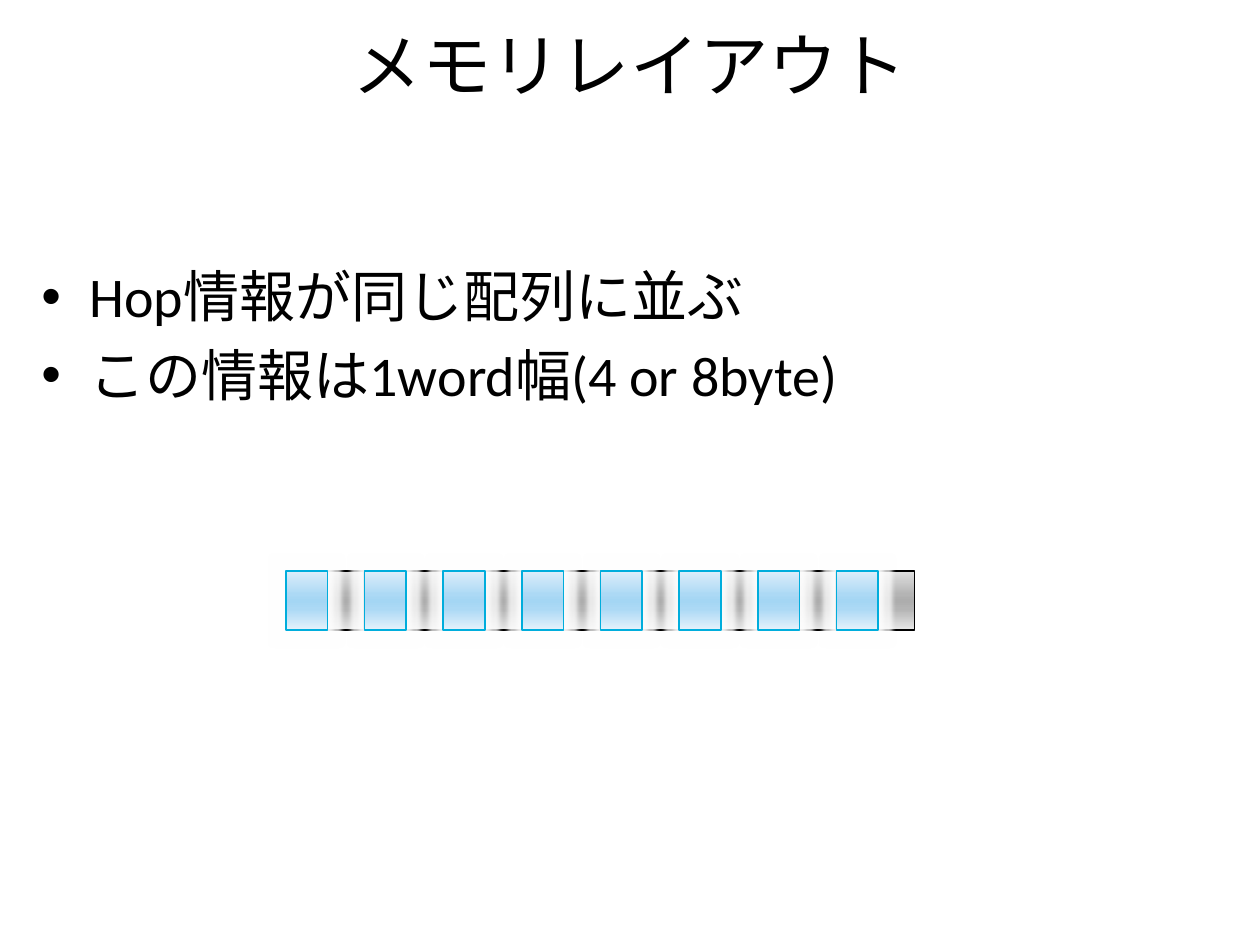
from dataclasses import dataclass

from lxml import etree
from pptx import Presentation
from pptx import util as u
from pptx.dml.color import RGBColor
from pptx.enum import shapes, text
from pptx.oxml import parse_xml
from pptx.oxml.ns import nsdecls, qn


@dataclass(frozen=True)
class Theme:
    font: str = "Calibri"
    ink: str = "000000"
    glow: str = "FFFFFF"
    glow_opacity: int = 75
    title_size: float = 39.6
    body_size: float = 32
    line_width: float = 0.94
    # Cell styles: outline, then gradient colours from top to bottom
    hop: tuple = ("00ADDC", ("DEEEFA", "ACD9F5", "A4D6F4", "ACD9F5", "E5F2FB"))
    data: tuple = ("000000", ("E1E1E1", "B4B4B4", "ADADAD", "B4B4B4", "E7E7E7"))
    stops: tuple = (0, 40, 50, 65, 100)


THEME = Theme()
BULLET_INDENT = u.Inches(0.38)


def place(shape, box):
    shape.left, shape.top, shape.width, shape.height = box


def write(paragraph, words, size, align=text.PP_ALIGN.LEFT, bullet=False, before=0):
    paragraph.text = words
    paragraph.alignment = align
    if bullet:
        properties = paragraph._p.get_or_add_pPr()
        properties.set("marL", str(BULLET_INDENT))
        properties.set("indent", str(-BULLET_INDENT))
        etree.SubElement(properties, qn("a:buFont")).set("typeface", "Arial")
        etree.SubElement(properties, qn("a:buChar")).set("char", "•")
    if before:
        paragraph.space_before = u.Pt(before)
    font = paragraph.runs[0].font
    font.name, font.size = THEME.font, u.Pt(size)
    font.color.rgb = RGBColor.from_string(THEME.ink)


def add_title(slide, box, words):
    title = slide.shapes.title
    place(title, box)
    title.text_frame.vertical_anchor = text.MSO_ANCHOR.MIDDLE
    write(title.text_frame.paragraphs[0], words, THEME.title_size,
          align=text.PP_ALIGN.CENTER)


def add_points(slide, box, points):
    frame = slide.shapes.add_textbox(*box).text_frame
    frame.word_wrap = True
    for i, point in enumerate(points):
        paragraph = frame.add_paragraph() if i else frame.paragraphs[0]
        write(paragraph, point, THEME.body_size, bullet=True, before=6.4 if i else 0)


def add_cell(slide, box, style, glow=None):
    outline, colours = style
    cell = slide.shapes.add_shape(shapes.MSO_SHAPE.RECTANGLE, *box)
    cell.shadow.inherit = False
    cell.line.color.rgb = RGBColor.from_string(outline)
    cell.line.width = u.Pt(THEME.line_width)
    # Five-stop vertical gradient
    stops = "".join(
        f'<a:gs pos="{at * 1000}"><a:srgbClr val="{colour}"/></a:gs>'
        for at, colour in zip(THEME.stops, colours))
    gradient = parse_xml(
        f'<a:gradFill {nsdecls("a")} rotWithShape="1"><a:gsLst>{stops}</a:gsLst>'
        '<a:lin ang="5400000" scaled="0"/></a:gradFill>')
    properties = cell._element.spPr
    properties.find(qn("a:prstGeom")).addnext(gradient)
    # Soft halo that fades the edges of the neighbouring cells
    if glow:
        halo = etree.SubElement(properties.find(qn("a:effectLst")), qn("a:glow"))
        halo.set("rad", str(glow))
        colour = etree.SubElement(halo, qn("a:srgbClr"))
        colour.set("val", THEME.glow)
        opacity = etree.SubElement(colour, qn("a:alpha"))
        opacity.set("val", str(THEME.glow_opacity * 1000))


def add_memory_row(slide, box, count):
    """Alternate hop words and data words along the row."""
    left, top, width, height = box
    cell_width, data_offset = u.Inches(0.33), u.Inches(0.29)
    pitch = (width - data_offset - cell_width) / (count - 1)
    for i in range(count):
        x = round(left + i * pitch)
        add_cell(slide, (x + data_offset, top, cell_width, height), THEME.data)
        add_cell(slide, (x, top, cell_width, height), THEME.hop, glow=u.Inches(0.07))


def main():
    deck = Presentation()
    deck.slide_width, deck.slide_height = u.Inches(10), u.Inches(7.5)
    slide = deck.slides.add_slide(deck.slide_layouts[5])
    add_title(slide, [u.Inches(n) for n in (0.5, 0.16, 9, 0.7)], "メモリレイアウト")
    add_points(slide, [u.Inches(n) for n in (0.23, 2.03, 9.53, 1.56)],
               ["Hop情報が同じ配列に並ぶ", "この情報は1word幅(4 or 8byte)"])
    add_memory_row(slide, [u.Inches(n) for n in (2.27, 4.53, 4.99, 0.47)], count=8)
    deck.save("out.pptx")


if __name__ == "__main__":
    main()
